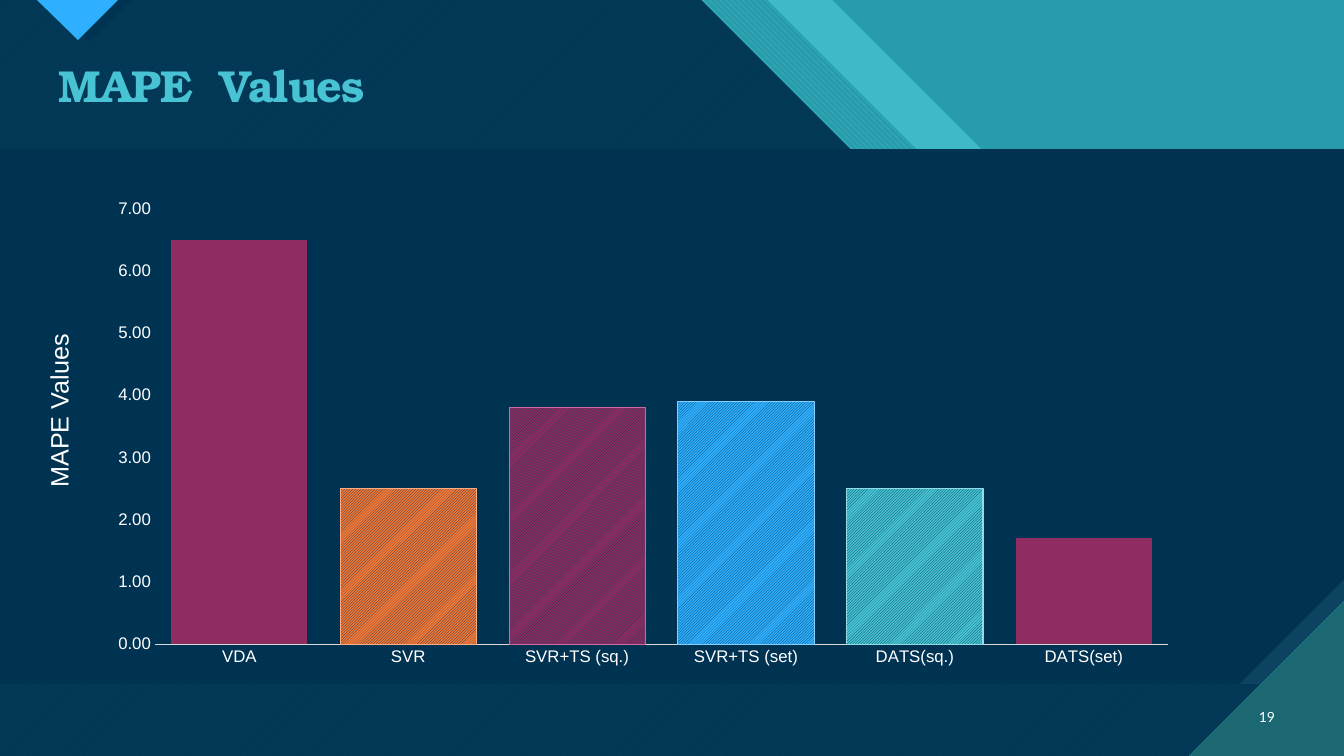
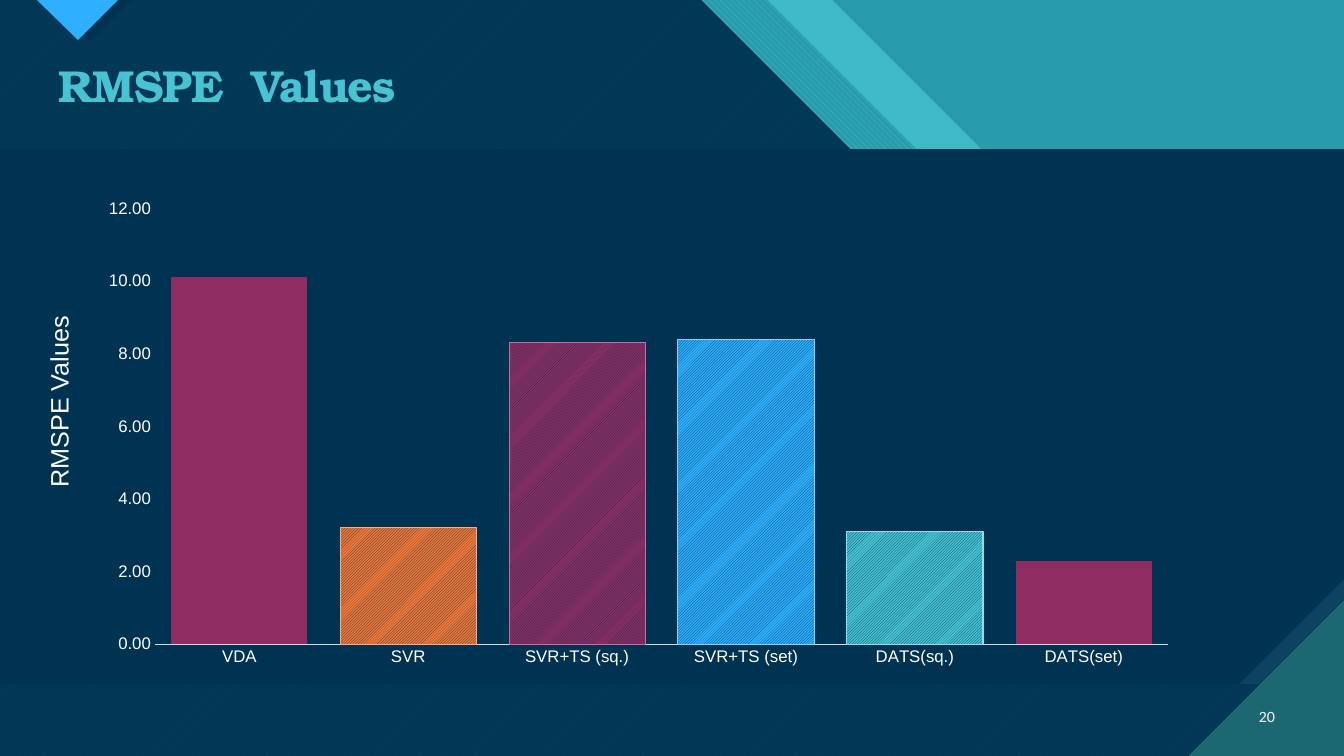
from lxml.etree import SubElement
from pptx import Presentation
from pptx.chart.data import CategoryChartData
from pptx.dml.color import RGBColor
from pptx.enum.chart import XL_CHART_TYPE, XL_TICK_MARK
from pptx.enum.dml import MSO_PATTERN
from pptx.enum.shapes import MSO_SHAPE
from pptx.enum.text import MSO_ANCHOR, PP_ALIGN
from pptx.oxml import parse_xml
from pptx.oxml.ns import nsdecls, qn
from pptx.util import Pt

SCALE = 914400 / 100.8
WIDE, HIGH = 1344, 756
TOP, BASE = 149, 684
COLORS = {
    "teal": "299CAB", "aqua": "47C3D3", "pine": "1B6872", "navy": "003352",
    "slate": "0C4360", "blue": "2FAFFF", "plum": "8F2D63", "orange": "F47735",
    "white": "FFFFFF", "grey": "D9D9D9", "peach": "F9AD86", "pink": "D069A3",
    "sky": "82CFFF", "mint": "91DBE5",
}
HUES = {name: RGBColor.from_string(code) for name, code in COLORS.items()}


def paint(fill, fore, back=None, pattern=None):
    if pattern is None:
        fill.solid()
    else:
        fill.patterned()
        fill.pattern = pattern
        fill.back_color.rgb = HUES[back]
    fill.fore_color.rgb = HUES[fore]


def write(slide, text, box, size, font, color="white", bold=False, align=PP_ALIGN.LEFT,
          anchor=MSO_ANCHOR.TOP, turn=0, lead=None, track=None):
    shape = slide.shapes.add_textbox(*[round(n * SCALE) for n in box])
    shape.rotation = turn
    frame = shape.text_frame
    frame.word_wrap = True
    frame.vertical_anchor = anchor
    para = frame.paragraphs[0]
    para.alignment = align
    para.line_spacing = lead
    run = para.add_run()
    run.text = text
    run.font.size = Pt(size)
    run.font.name = font
    run.font.bold = bold
    run.font.color.rgb = HUES[color]
    if track is not None:
        run.font._element.set("spc", str(track))


BANDS = [
    (832, 1244, ("aqua",), 74),
    (767, 1194, ("aqua", "teal", MSO_PATTERN.WIDE_DOWNWARD_DIAGONAL), None),
    (701, 1127, ("aqua", "pine", MSO_PATTERN.WIDE_UPWARD_DIAGONAL), None),
    (701, 1127, ("navy",), 90),
]
STEP = 299
PANELS = [
    ([(48, 0), (132, 0), (90, 42)], ("navy",)),
    ([(37, 0), (118, 0), (78, 40)], ("blue", "pine", MSO_PATTERN.DARK_HORIZONTAL)),
    ([(0, TOP), (WIDE, TOP), (WIDE, BASE - 105), (WIDE - 105, BASE), (0, BASE)], ("navy",)),
    ([(WIDE - 155, HIGH), (WIDE, HIGH), (WIDE, HIGH - 155)],
     ("pine", "aqua", MSO_PATTERN.DARK_HORIZONTAL)),
]
GROUPS = ["VDA", "SVR", "SVR+TS (sq.)", "SVR+TS (set)", "DATS(sq.)", "DATS(set)"]
BARS = [("orange", "peach"), ("plum", "pink"), ("blue", "sky"), ("aqua", "mint")]
PLOT = {"x": 0.058, "y": 0.042, "w": 0.934, "h": 0.889}
PAGES = [
    ("MAPE", 19, [6.5, 2.5, 3.8, 3.9, 2.5, 1.7], 7, 1),
    ("RMSPE", 20, [10.1, 3.2, 8.3, 8.4, 3.1, 2.3], 12, 2),
]

deck = Presentation()
deck.slide_width = round(WIDE * SCALE)
deck.slide_height = round(HIGH * SCALE)

for name, number, values, peak, unit in PAGES:
    slide = deck.slides.add_slide(deck.slide_layouts[6])
    paint(slide.background.fill, "teal")

    for edge, elbow, look, alpha in BANDS:
        pen = slide.shapes.build_freeform(0, 0, scale=SCALE)
        pen.add_line_segments([
            (edge, 0), (edge + STEP, STEP), (elbow, STEP),
            (WIDE, STEP + WIDE - elbow), (WIDE, HIGH), (0, HIGH),
        ])
        band = pen.convert_to_shape()
        paint(band.fill, *look)
        if alpha:
            tint = band._element.spPr.find(".//" + qn("a:srgbClr"))
            SubElement(tint, qn("a:alpha"), val=str(alpha * 1000))

    body = slide.shapes.add_shape(
        MSO_SHAPE.RECTANGLE, 0, round(TOP * SCALE), deck.slide_width, round((BASE - TOP) * SCALE))
    paint(body.fill, "slate", "pine", MSO_PATTERN.DARK_VERTICAL)

    for points, look in PANELS:
        pen = slide.shapes.build_freeform(*points[0], scale=SCALE)
        pen.add_line_segments(points[1:])
        paint(pen.convert_to_shape().fill, *look)

    for shape in slide.shapes:
        shape.line.fill.background()
        shape.shadow.inherit = False

    write(slide, f"{name}  Values", (49, 59, 1236, 60), 32, "TeX Gyre Bonum",
          color="aqua", bold=True, lead=0.9, track=-70)

    data = CategoryChartData()
    data.categories = GROUPS
    data.add_series("Series 1", values)
    chart = slide.shapes.add_chart(
        XL_CHART_TYPE.COLUMN_CLUSTERED,
        *[round(n * SCALE) for n in (92, 188, 1085, 490)], data).chart
    chart.has_title = False
    chart.has_legend = False
    chart.font.name = "Arial"
    chart.font.size = Pt(12)
    chart.font.color.rgb = HUES["white"]
    for axis in (chart.category_axis, chart.value_axis):
        axis.major_tick_mark = XL_TICK_MARK.NONE
        axis.minor_tick_mark = XL_TICK_MARK.NONE
        axis.has_major_gridlines = False
    chart.category_axis.format.line.color.rgb = HUES["grey"]
    chart.category_axis.format.line.width = Pt(0.75)
    scale = chart.value_axis
    scale.format.line.fill.background()
    scale.minimum_scale = 0
    scale.maximum_scale = peak
    scale.major_unit = unit
    scale.tick_labels.number_format = "0.00"
    scale.tick_labels.number_format_is_linked = False

    plot = chart.plots[0]
    plot.gap_width = 24
    plot.vary_by_categories = False
    series = plot.series[0]
    paint(series.format.fill, "plum")
    for index, (hue, rim) in enumerate(BARS, 1):
        style = series.points[index].format
        paint(style.fill, "navy", hue, MSO_PATTERN.LIGHT_UPWARD_DIAGONAL)
        style.line.color.rgb = HUES[rim]
        style.line.width = Pt(0.75)

    area = chart._chartSpace.find(".//" + qn("c:plotArea"))
    for old in area.findall(qn("c:layout")):
        area.remove(old)
    modes = "".join(f'<c:{key}Mode val="edge"/>' for key in "xy")
    sizes = "".join(f'<c:{key} val="{size}"/>' for key, size in PLOT.items())
    area.insert(0, parse_xml(
        f'<c:layout {nsdecls("c")}><c:manualLayout><c:layoutTarget val="inner"/>'
        f'{modes}{sizes}</c:manualLayout></c:layout>'))

    write(slide, str(number), (1241, 697, 44, 40), 10, "Lato",
          align=PP_ALIGN.RIGHT, anchor=MSO_ANCHOR.MIDDLE)
    write(slide, f"{name} Values", (-52, 367, 221, 40), 18, "Arial", turn=270)

deck.save("out.pptx")
